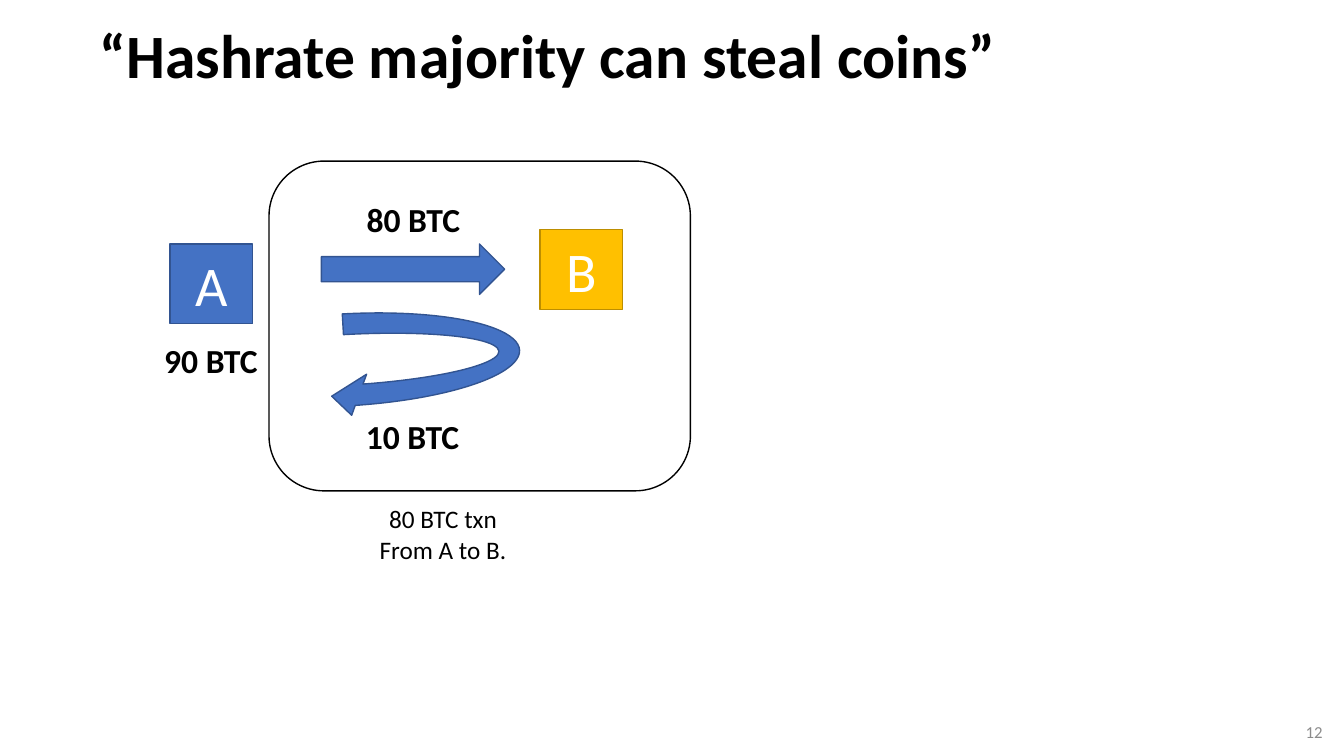
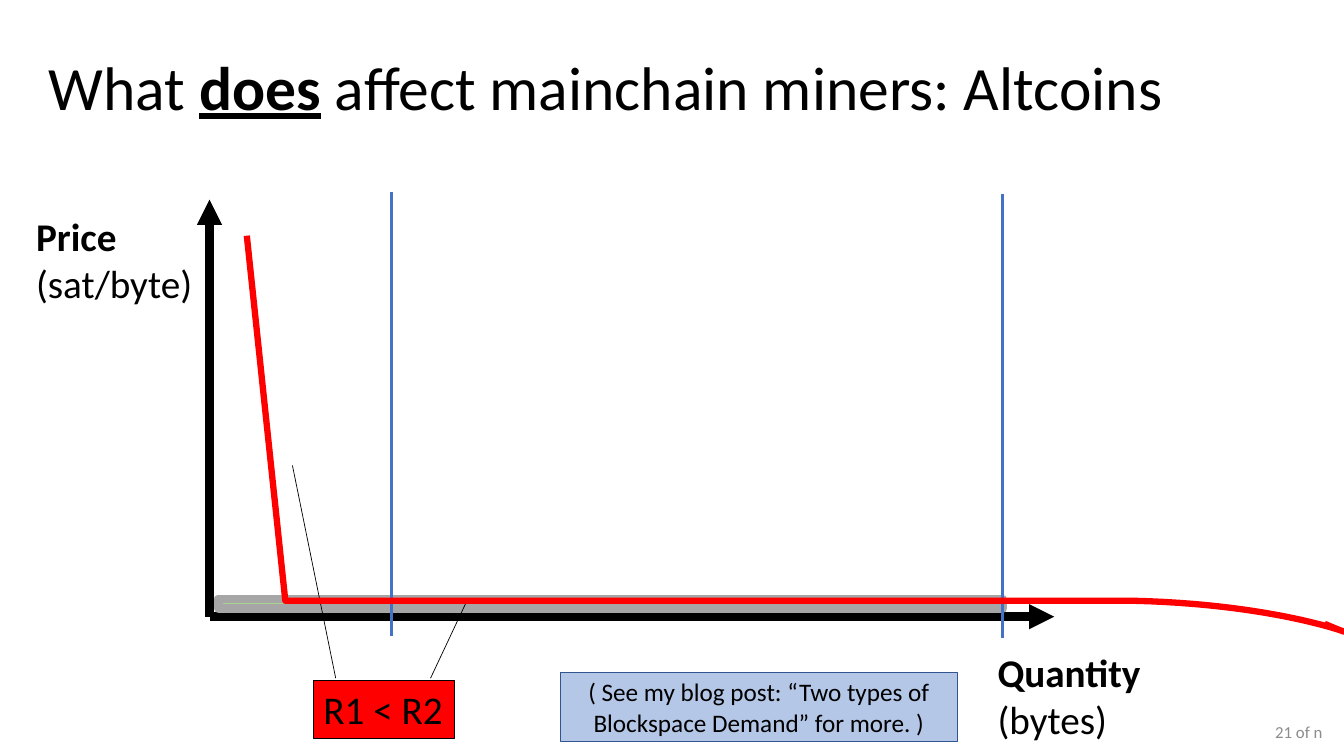
"""Builds two slides on hashrate majorities and on what affects mainchain miners."""
from lxml import etree
from pptx import Presentation, util as u
from pptx.dml.color import RGBColor
from pptx.enum import shapes, text
from pptx.oxml.ns import qn

THEME = {
    "font": "Calibri",
    "colors": {
        "black": "000000", "white": "FFFFFF", "muted": "8C8C8C", "blue": "4472C4",
        "navy": "325491", "gold": "FFC000", "bronze": "BD8E00", "red": "FF0000",
        "green": "A9D18E", "gray": "A6A6A6", "pale": "B4C7E7",
    },
    "sizes": {"title": 44, "party": 40, "axis": 28, "amount": 24, "note": 18, "page": 12},
}
SLIDE = (33.87, 19.05)
TITLE_SIZE = (29.21, 3.68)
PAGE_BOX = (25.96, 17.93, 7.62, 1.02)
PARTY_SIZE = (2.08, 2.01)
AMOUNT_SIZE = (2.9, 1.27)
BOLD = {"bold": True}
CENTER = text.PP_ALIGN.CENTER
MIDDLE = text.MSO_ANCHOR.MIDDLE

PARTIES = [
    ("A", (4.29, 6.15), "blue", "navy"),
    ("B", (13.61, 5.79), "gold", "bronze"),
]
AMOUNTS = [("90 BTC", (3.89, 8.43)), ("10 BTC", (8.97, 10.36)), ("80 BTC", (8.99, 4.88))]
PAYMENT_ARROW = (8.1, 6.15, 4.62, 1.27)
CHANGE_ARROW = (7.24, 4.37, 2.9, 9.4)
CHANGE_TURN = 86.8
CHANGE_ADJUST = (0.18, 25.34, 204.58, 108, 0.19)
TXN_FRAME = (6.78, 4.06, 10.62, 8.31)
TXN_CAPTION = (9.3, 12.57, 3.73, 1.8)

ORIGIN = (5.28, 15.54)
AXIS_ENDS = [(5.28, 5.03), (26.57, 15.54)]
AXIS_LABELS = [
    ("Price", "(sat/byte)", (0.66, 5.23, 4.65, 2.64)),
    ("Quantity", "(bytes)", (24.89, 16.21, 4.17, 2.64)),
]
LIMITS = [(9.86, 4.85), (25.27, 4.9)]
LIMIT_HEIGHT = 11.18
BARS = [(5.51, 15.09, 4.19, 0.2), (5.51, 15.09, 19.76, 0.25)]
POINTERS = [((7.37, 11.73), (8.46, 17.09)), ((11.79, 15.09), (10.85, 17.09))]
RATIO_BOX = (7.9, 17.15, 3.56, 1.45)
NOTE_BOX = (14.12, 16.94, 10.01, 1.75)
NOTE = "( See my blog post: “Two types of Blockspace Demand” for more. )"
DEMAND = [(6.22, 5.94), (7.19, 15.14), (28.55, 15.14)]
DEMAND_TAIL = [(28.55, 15.14), (32.92, 15.24), (34.85, 16.36), (33.38, 15.72)]
TAIL_STEPS = 32


def cm(values):
    return [u.Cm(v) for v in values]


def color(name):
    return RGBColor.from_string(THEME["colors"][name])


def set_all(target, values):
    for name, value in values.items():
        setattr(target, name, value)


def write(sp, paragraphs, size, ink="black", align=None, anchor=None, wrap=True, spacing=None):
    tf = sp.text_frame
    set_all(tf, {"word_wrap": wrap, "vertical_anchor": anchor or text.MSO_ANCHOR.TOP})
    for i, runs in enumerate(paragraphs):
        p = tf.add_paragraph() if i else tf.paragraphs[0]
        set_all(p, {"alignment": align or text.PP_ALIGN.LEFT, "line_spacing": spacing})
        for words, extra in runs:
            r = p.add_run()
            r.text = words
            set_all(r.font, {"name": THEME["font"], "size": u.Pt(THEME["sizes"][size]), **extra})
            r.font.color.rgb = color(ink)


def add_text(s, box, paragraphs, size, **style):
    write(s.shapes.add_textbox(*cm(box)), paragraphs, size, **style)


def outline(sp, ink, width):
    sp.line.color.rgb = color(ink)
    sp.line.width = u.Pt(width)


def paint(sp, fill, ink, width):
    sp.shadow.inherit = False
    if fill:
        sp.fill.solid()
        sp.fill.fore_color.rgb = color(fill)
    else:
        sp.fill.background()
    outline(sp, ink, width)
    return sp


def add_shape(s, kind, box, fill, ink, width=1):
    return paint(s.shapes.add_shape(getattr(shapes.MSO_SHAPE, kind), *cm(box)), fill, ink, width)


def add_line(s, start, end, ink, width, arrow=False):
    line = s.shapes.add_connector(shapes.MSO_CONNECTOR.STRAIGHT, *cm(start + end))
    outline(line, ink, width)
    if arrow:
        etree.SubElement(line.line._get_or_add_ln(), qn("a:tailEnd"), type="triangle")
    etree.SubElement(line._element.spPr, qn("a:effectLst"))


def bezier(points, steps):
    for i in range(1, steps + 1):
        t = i / steps
        weights = ((1 - t) ** 3, 3 * t * (1 - t) ** 2, 3 * t * t * (1 - t), t ** 3)
        yield tuple(sum(w * v for w, v in zip(weights, axis)) for axis in zip(*points))


def add_slide(prs, title_at, title, page):
    s = prs.slides.add_slide(prs.slide_layouts[6])
    add_text(s, title_at + TITLE_SIZE, [title], "title", anchor=MIDDLE, spacing=0.9)
    add_text(s, PAGE_BOX, [[(page, {})]], "page", ink="muted",
             align=text.PP_ALIGN.RIGHT, anchor=MIDDLE)
    return s


def steal_slide(prs):
    s = add_slide(prs, (2.26, -0.36), [("“Hashrate majority can steal coins”", BOLD)], "12")
    for name, at, fill, ink in PARTIES:
        sp = add_shape(s, "RECTANGLE", at + PARTY_SIZE, fill, ink)
        write(sp, [[(name, {})]], "party", ink="white", align=CENTER, anchor=MIDDLE)
    for amount, at in AMOUNTS:
        add_text(s, at + AMOUNT_SIZE, [[(amount, BOLD)]], "amount", wrap=False)
    add_shape(s, "RIGHT_ARROW", PAYMENT_ARROW, "blue", "navy")
    change = add_shape(s, "CIRCULAR_ARROW", CHANGE_ARROW, "blue", "navy")
    change.rotation = CHANGE_TURN
    for i, value in enumerate(CHANGE_ADJUST):
        change.adjustments[i] = value
    add_shape(s, "ROUNDED_RECTANGLE", TXN_FRAME, None, "black")
    add_text(s, TXN_CAPTION, [[("80 BTC txn", {})], [("From A to B.", {})]], "note",
             align=CENTER, wrap=False)


def altcoin_slide(prs):
    title = [("What ", {}), ("does", {"bold": True, "underline": True}),
             (" affect mainchain miners: Altcoins", {})]
    s = add_slide(prs, (0.97, 0.43), title, "21 of n")
    for end in AXIS_ENDS:
        add_line(s, ORIGIN, end, "black", 6, arrow=True)
    for name, unit, box in AXIS_LABELS:
        add_text(s, box, [[(name, BOLD)], [(unit, {})]], "axis", wrap=False)
    for bar in BARS:
        add_shape(s, "RECTANGLE", bar, "green", "gray", 6)
    for x, top in LIMITS:
        add_line(s, (x, top), (x, top + LIMIT_HEIGHT), "blue", 2.25)
    for start, end in POINTERS:
        add_line(s, start, end, "black", 0.5)
    ratio = add_shape(s, "RECTANGLE", RATIO_BOX, "red", "black", 0.75)
    write(ratio, [[("R1 < R2", {})]], "axis", wrap=False)
    points = [cm(pt) for pt in DEMAND + list(bezier(DEMAND_TAIL, TAIL_STEPS))]
    curve = s.shapes.build_freeform(*points[0])
    curve.add_line_segments(points[1:], close=False)
    paint(curve.convert_to_shape(), None, "red", 4.5)
    note = add_shape(s, "RECTANGLE", NOTE_BOX, "pale", "navy")
    write(note, [[(NOTE, {})]], "note", align=CENTER, anchor=MIDDLE)


def main():
    prs = Presentation()
    prs.slide_width, prs.slide_height = cm(SLIDE)
    steal_slide(prs)
    altcoin_slide(prs)
    prs.save("out.pptx")


if __name__ == "__main__":
    main()
